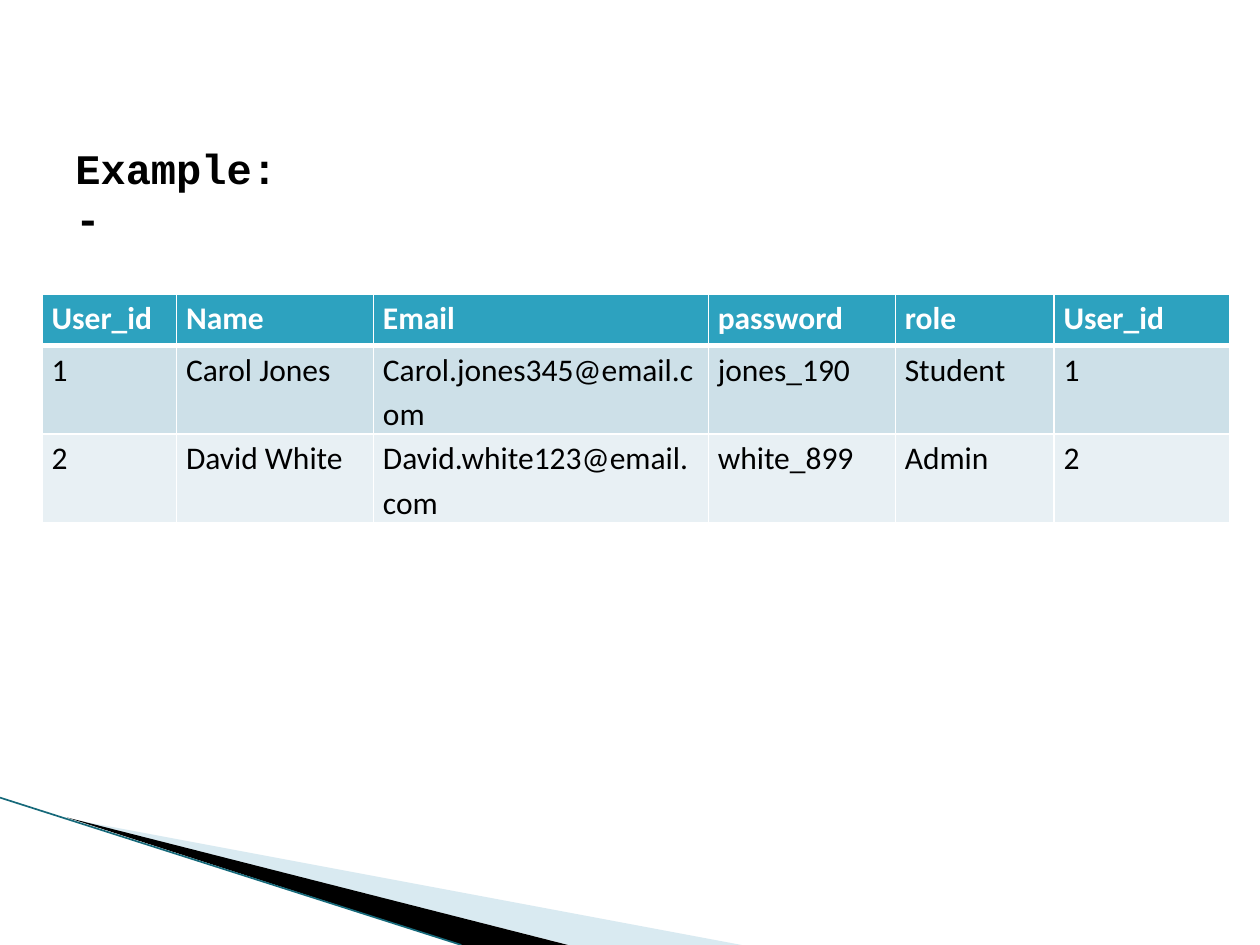
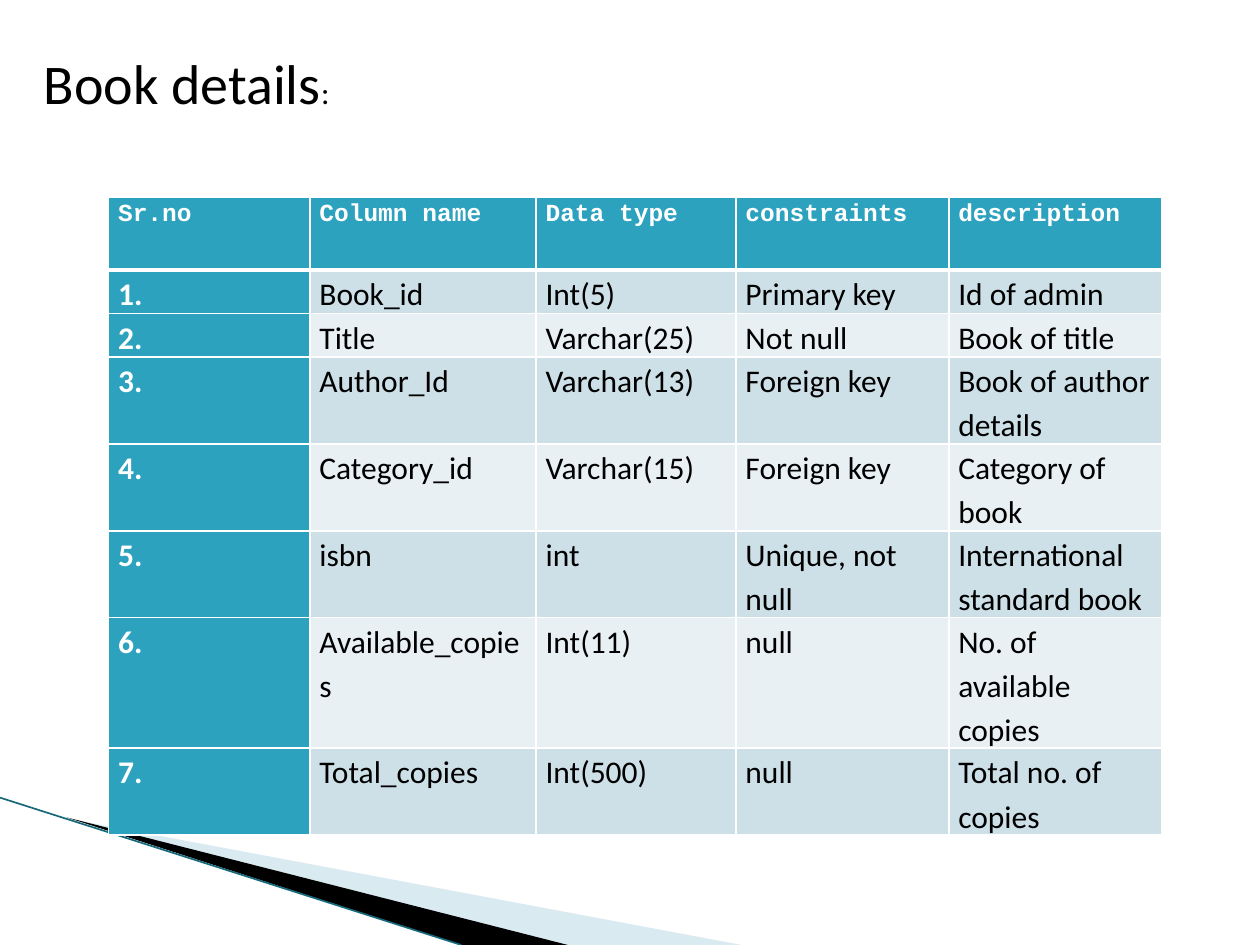
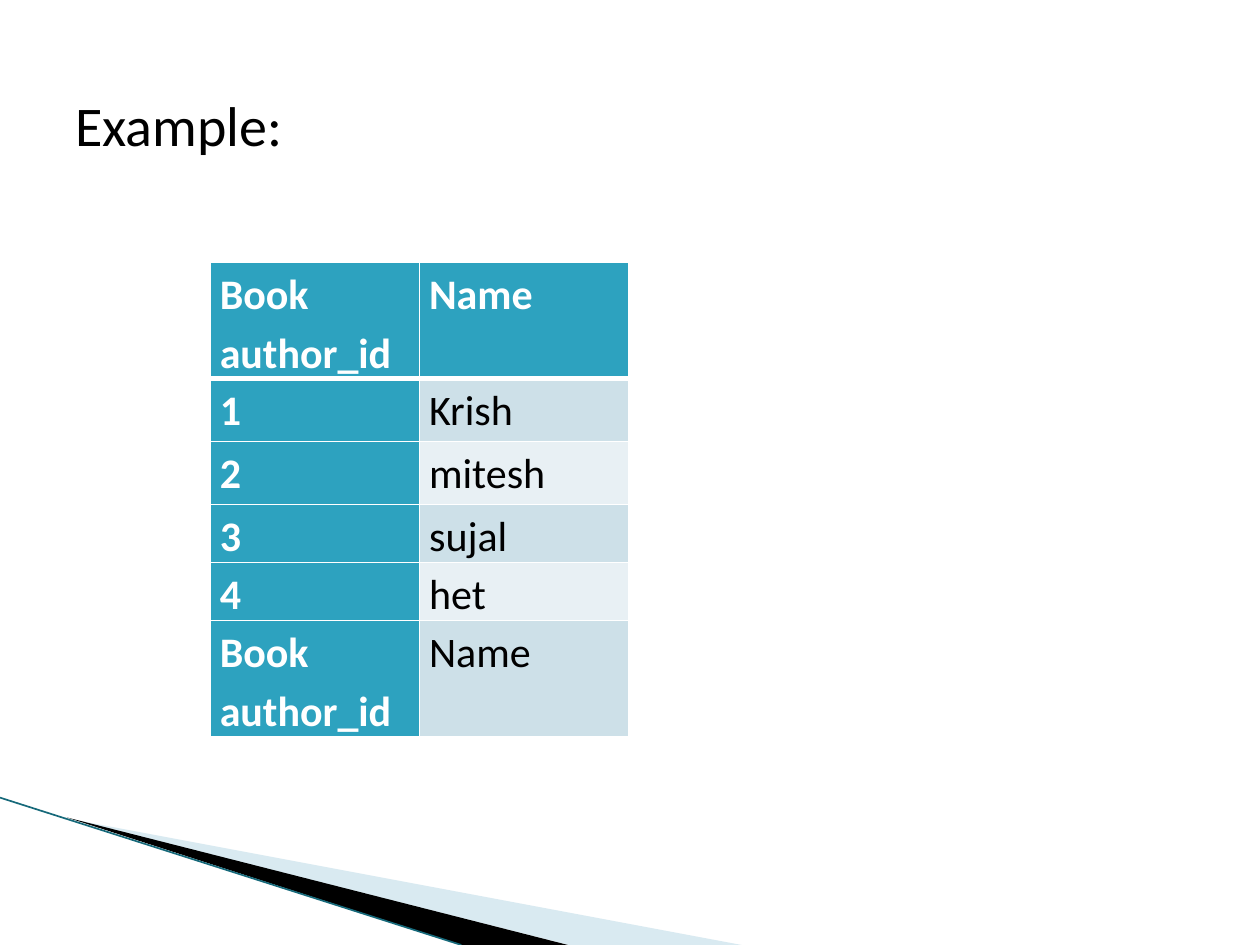
"""Build three database slides: user example, book details and author example."""
import pptx
import pptx.dml.color
import pptx.enum.shapes
import pptx.enum.text
import pptx.oxml
import pptx.oxml.ns
import pptx.util

Cm, Pt = pptx.util.Cm, pptx.util.Pt
TEAL, BLACK, WHITE = "2DA2BF", "000000", "FFFFFF"
BANDS = ("CDE0E8", "E8F0F4")
PALE, EDGE = "A0CBDC", "16697A"
BODY, MONO = "Calibri", "Courier New"


def rgb(value):
    return pptx.dml.color.RGBColor.from_string(value)


def element(tag, **attributes):
    el = pptx.oxml.parse_xml(f"<a:{tag} {pptx.oxml.ns.nsdecls('a')}/>")
    for name, value in attributes.items():
        el.set(name, str(value))
    return el


class Deck:
    def __init__(self):
        self.prs = pptx.Presentation()
        self.prs.slide_width, self.prs.slide_height = Cm(25.4), Cm(19.05)
        self.s = None

    def new_slide(self):
        self.s = self.prs.slides.add_slide(self.prs.slide_layouts[6])
        self.wedge([(1.4, 16.51), (14.95, 19.05), (11.47, 19.05)], PALE, 40)
        self.wedge([(1.35, 16.48), (11.45, 19.05), (9.3, 19.05)], BLACK)
        self.line((0, 16.08), (9.3, 19.05), EDGE, 0.95)

    def wedge(self, points, color, opacity=100):
        points = [(Cm(x), Cm(y)) for x, y in points]
        builder = self.s.shapes.build_freeform(*points[0])
        builder.add_line_segments(points[1:])
        sp = builder.convert_to_shape()
        sp.shadow.inherit = False
        sp.line.fill.background()
        sp.fill.solid()
        sp.fill.fore_color.rgb = rgb(color)
        if opacity < 100:
            fill_color = sp.fill._xPr.find(".//" + pptx.oxml.ns.qn("a:srgbClr"))
            fill_color.append(element("alpha", val=opacity * 1000))

    def line(self, start, end, color, width):
        ends = [Cm(v) for v in (*start, *end)]
        sp = self.s.shapes.add_connector(pptx.enum.shapes.MSO_CONNECTOR.STRAIGHT, *ends)
        sp.line.color.rgb = rgb(color)
        sp.line.width = Pt(width)
        sp._element.spPr.append(element("effectLst"))

    def style_run(self, r, size, font, color=BLACK, bold=False):
        r.font.size, r.font.name, r.font.bold = Pt(size), font, bold
        r.font.color.rgb = rgb(color)

    def title(self, x, y, w, h, parts, font=BODY, bold=False, wrap=False):
        sp = self.s.shapes.add_textbox(Cm(x), Cm(y), Cm(w), Cm(h))
        tf = sp.text_frame
        tf.word_wrap = wrap
        tf.auto_size = pptx.enum.text.MSO_AUTO_SIZE.SHAPE_TO_FIT_TEXT
        for text, size in parts:
            r = tf.paragraphs[0].add_run()
            r.text = text
            self.style_run(r, size, font, bold=bold)

    def borders(self, cell, top, bottom):
        tc_pr = cell._tc.get_or_add_tcPr()
        for side, width in zip("LRTB", (1, 1, top, bottom)):
            ln = element(f"ln{side}", w=Pt(width))
            fill = element("solidFill")
            fill.append(element("srgbClr", val=WHITE))
            ln.append(fill)
            tc_pr.append(ln)

    def cell(self, cell, text, fill, size, font, strong, space_after):
        cell.margin_left = cell.margin_right = Cm(0.19)
        cell.margin_top = cell.margin_bottom = 0
        cell.fill.solid()
        cell.fill.fore_color.rgb = rgb(fill)
        p = cell.text_frame.paragraphs[0]
        p.text = text
        p.line_spacing, p.space_after = 1.15, Pt(space_after)
        self.style_run(p.runs[0], size, font, WHITE if strong else BLACK, strong)

    def table(self, x, y, widths, heights, rows, size=18, key_column=True,
              head_size=None, head_font=BODY, head_after=10):
        frame = self.s.shapes.add_table(len(rows), len(widths), Cm(x), Cm(y),
                                        Cm(sum(widths)), Cm(sum(heights)))
        table = frame.table
        for column, width in zip(table.columns, widths):
            column.width = Cm(width)
        for i, (height, texts) in enumerate(zip(heights, rows)):
            table.rows[i].height = Cm(height)
            head = i == 0
            for j, text in enumerate(texts):
                cell = table.cell(i, j)
                self.borders(cell, 3 if i == 1 else 1, 3 if head else 1)
                strong = head or (key_column and j == 0)
                self.cell(cell, text, TEAL if strong else BANDS[(i - 1) % 2],
                          head_size if head and head_size else size,
                          head_font if head else BODY, strong,
                          head_after if head else 10)


def main():
    deck = Deck()

    deck.new_slide()
    users = [
        ("User_id", "Name", "Email", "password", "role", "User_id"),
        ("1", "Carol Jones", "Carol.jones345@email.com", "jones_190", "Student", "1"),
        ("2", "David White", "David.white123@email.com", "white_899", "Admin", "2"),
    ]
    deck.table(0.85, 5.93, [2.71, 3.97, 6.75, 3.77, 3.2, 3.55], [1.04] * 3, users,
               key_column=False)
    deck.title(1.27, 2.75, 4.88, 1.27, [("Example:-", 24)], MONO, bold=True, wrap=True)

    deck.new_slide()
    deck.title(0.63, 0.85, 6.32, 1.62, [("Book details", 32), (":", 18)])
    book_columns = [
        ("Sr.no", "Column name", "Data type", "constraints", "description"),
        ("1.", "Book_id", "Int(5)", "Primary key", "Id of admin"),
        ("2.", "Title", "Varchar(25)", "Not null", "Book of title"),
        ("3.", "Author_Id", "Varchar(13)", "Foreign key", "Book of author details"),
        ("4.", "Category_id", "Varchar(15)", "Foreign key", "Category of book"),
        ("5.", "isbn", "int", "Unique, not null", "International standard book"),
        ("6.", "Available_copies", "Int(11)", "null", "No. of available copies"),
        ("7.", "Total_copies", "Int(500)", "null", "Total no. of copies"),
    ]
    deck.table(2.19, 3.97, [4.06, 4.56, 4.03, 4.29, 4.29], [1.47] + [0.74] * 7,
               book_columns, head_size=14, head_font=MONO, head_after=0)

    deck.new_slide()
    deck.title(1.27, 1.7, 4.75, 1.62, [("Example:", 32)])
    authors = [
        ("Book author_id", "Name"),
        ("1", "Krish"),
        ("2", "mitesh"),
        ("3", "sujal"),
        ("4", "het"),
        ("Book author_id", "Name"),
    ]
    deck.table(4.24, 5.29, [4.22] * 2, [1.27, 1.27, 1.27, 1.07, 1.12, 1.42], authors,
               size=24, head_size=24)

    deck.prs.save("out.pptx")


if __name__ == "__main__":
    main()
